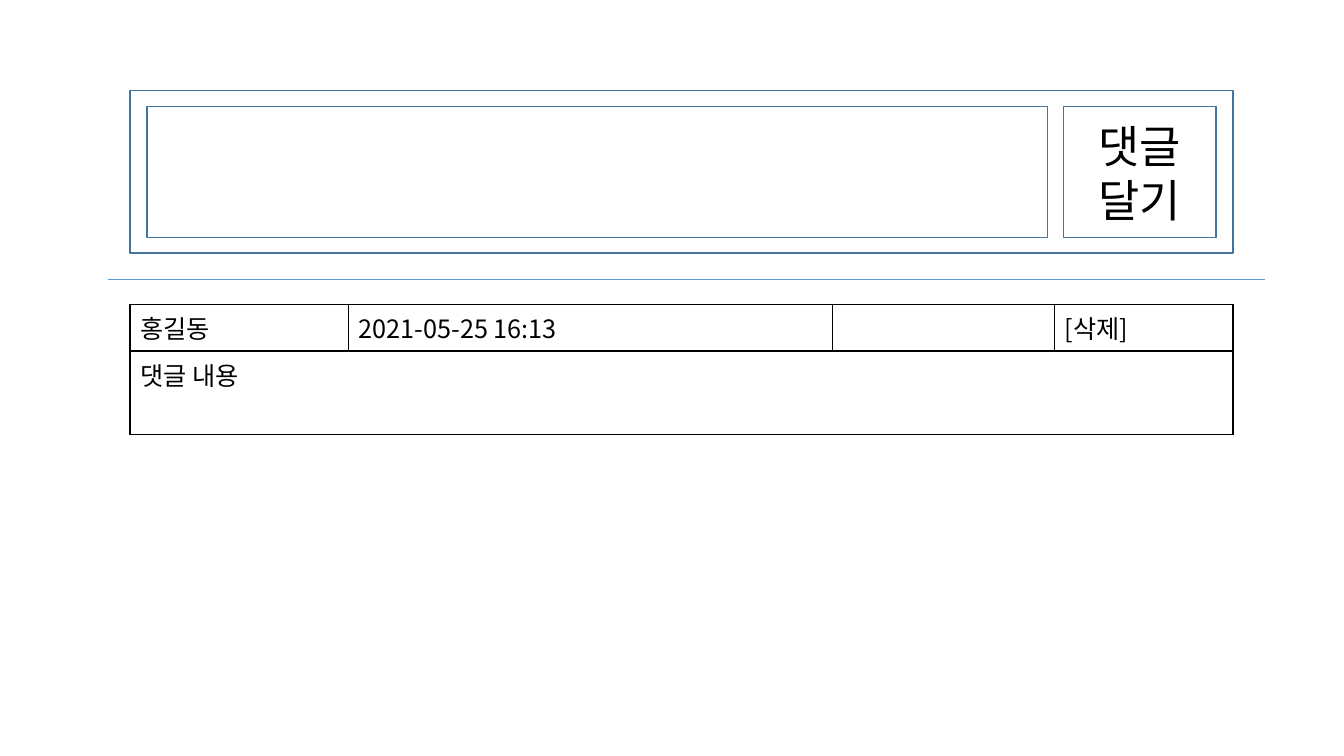
from pptx import Presentation
from pptx.dml.color import RGBColor
from pptx.enum.shapes import MSO_CONNECTOR as Connector, MSO_SHAPE as Shape
from pptx.enum.text import MSO_ANCHOR as Anchor, PP_ALIGN as Align
from pptx.oxml import parse_xml
from pptx.oxml.ns import nsdecls, qn
from pptx.util import Inches, Pt


def color(value):
    return RGBColor.from_string(value)


def write_text(frame, text, size=18, font="Noto Sans CJK KR", fill="000000", align=Align.LEFT):
    frame.text = text
    for paragraph in frame.paragraphs:
        paragraph.alignment = align
        for run in paragraph.runs:
            run.font.size = Pt(size)
            run.font.name = font
            run.font.color.rgb = color(fill)
            run.font._element.append(
                parse_xml(f'<a:ea {nsdecls("a")} typeface="{font}"/>'))


class CommentSlide:
    WHITE, FRAME, DIVIDER, GRID = "FFFFFF", "43739E", "5B9BD5", "000000"

    def __init__(self, presentation):
        self.slide = presentation.slides.add_slide(presentation.slide_layouts[6])

    def box(self, left, top, width, height, text=None, **text_format):
        shape = self.slide.shapes.add_shape(
            Shape.RECTANGLE, Inches(left), Inches(top), Inches(width), Inches(height))
        shape.shadow.inherit = False
        shape.fill.solid()
        shape.fill.fore_color.rgb = color(self.WHITE)
        shape.line.color.rgb = color(self.FRAME)
        shape.line.width = Pt(1)
        if text:
            shape.text_frame.vertical_anchor = Anchor.MIDDLE
            write_text(shape.text_frame, text, **text_format)

    def divider(self, left, right, top):
        line = self.slide.shapes.add_connector(
            Connector.STRAIGHT, Inches(left), Inches(top), Inches(right), Inches(top))
        line.line.color.rgb = color(self.DIVIDER)
        line.line.width = Pt(0.5)
        line._element.spPr.append(parse_xml(f'<a:effectLst {nsdecls("a")}/>'))

    def table(self, left, top, widths, heights, rows):
        table = self.slide.shapes.add_table(
            len(heights), len(widths), Inches(left), Inches(top),
            Inches(sum(widths)), Inches(sum(heights))).table
        table.first_row = table.horz_banding = False
        for column, width in zip(table.columns, widths):
            column.width = Inches(width)
        for row, height in zip(table.rows, heights):
            row.height = Inches(height)
        for cell in table.iter_cells():
            cell.fill.background()
            self.cell_borders(cell)
        for row_index, texts in enumerate(rows):
            if len(texts) == 1:
                table.cell(row_index, 0).merge(table.cell(row_index, len(widths) - 1))
            for column_index, text in enumerate(texts):
                if text:
                    write_text(table.cell(row_index, column_index).text_frame, text)

    def cell_borders(self, cell):
        properties = cell._tc.get_or_add_tcPr()
        for index, side in enumerate(("lnL", "lnR", "lnT", "lnB")):
            properties.insert(index, parse_xml(
                f'<a:{side} {nsdecls("a")} w="{Pt(1)}"><a:solidFill>'
                f'<a:srgbClr val="{self.GRID}"/></a:solidFill></a:{side}>'))


def main():
    presentation = Presentation()
    presentation.slide_width = Inches(13.33)
    presentation.slide_height = Inches(7.5)
    page = CommentSlide(presentation)

    # Comment form: frame, input field and submit button
    page.box(1.29, 0.9, 10.94, 1.61)
    page.box(1.46, 1.06, 8.93, 1.3)
    page.box(10.55, 1.06, 1.51, 1.3, "댓글\n달기", size=32, align=Align.CENTER)

    # Divider between form and comments
    page.divider(1.07, 12.55, 2.77)

    # Posted comment
    page.table(1.29, 3.02, [2.17, 4.8, 2.2, 1.77], [0.42, 0.83], [
        ["홍길동", "2021-05-25 16:13", "", "[삭제]"],
        ["댓글 내용"],
    ])
    presentation.save("out.pptx")


if __name__ == "__main__":
    main()
